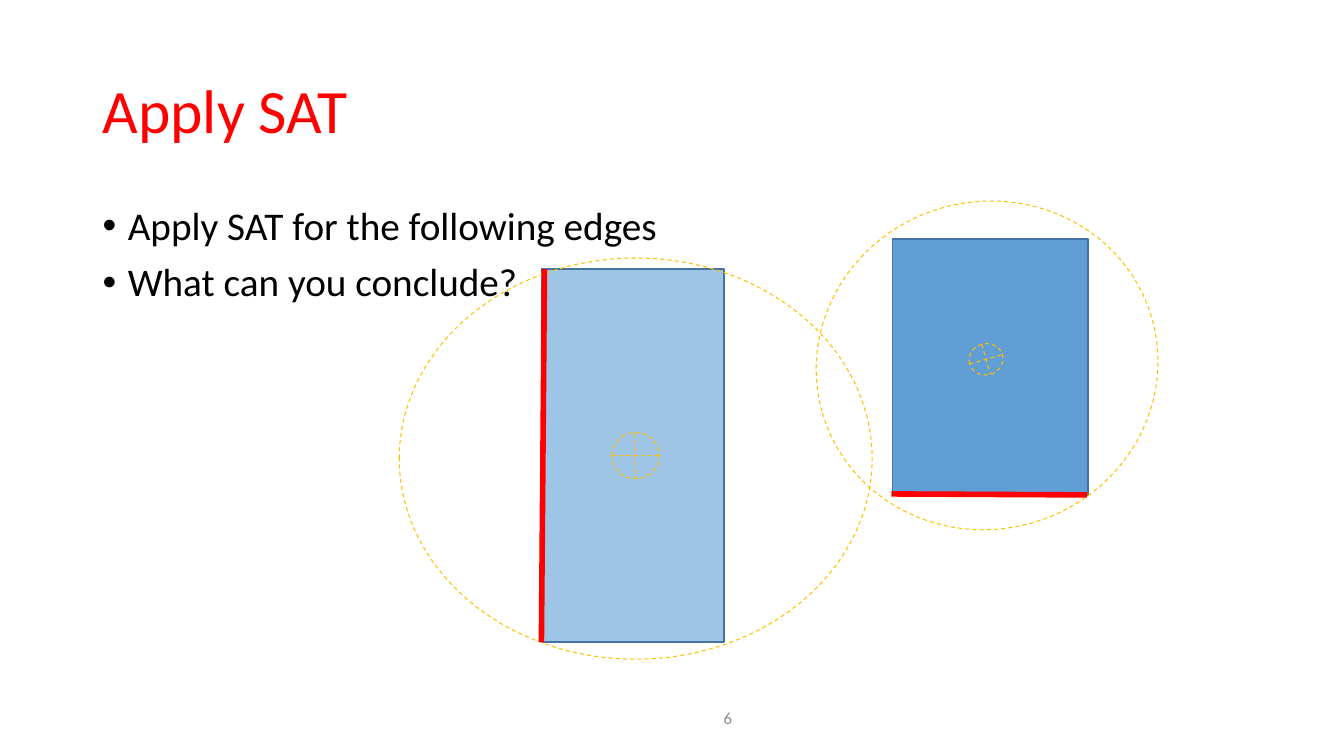
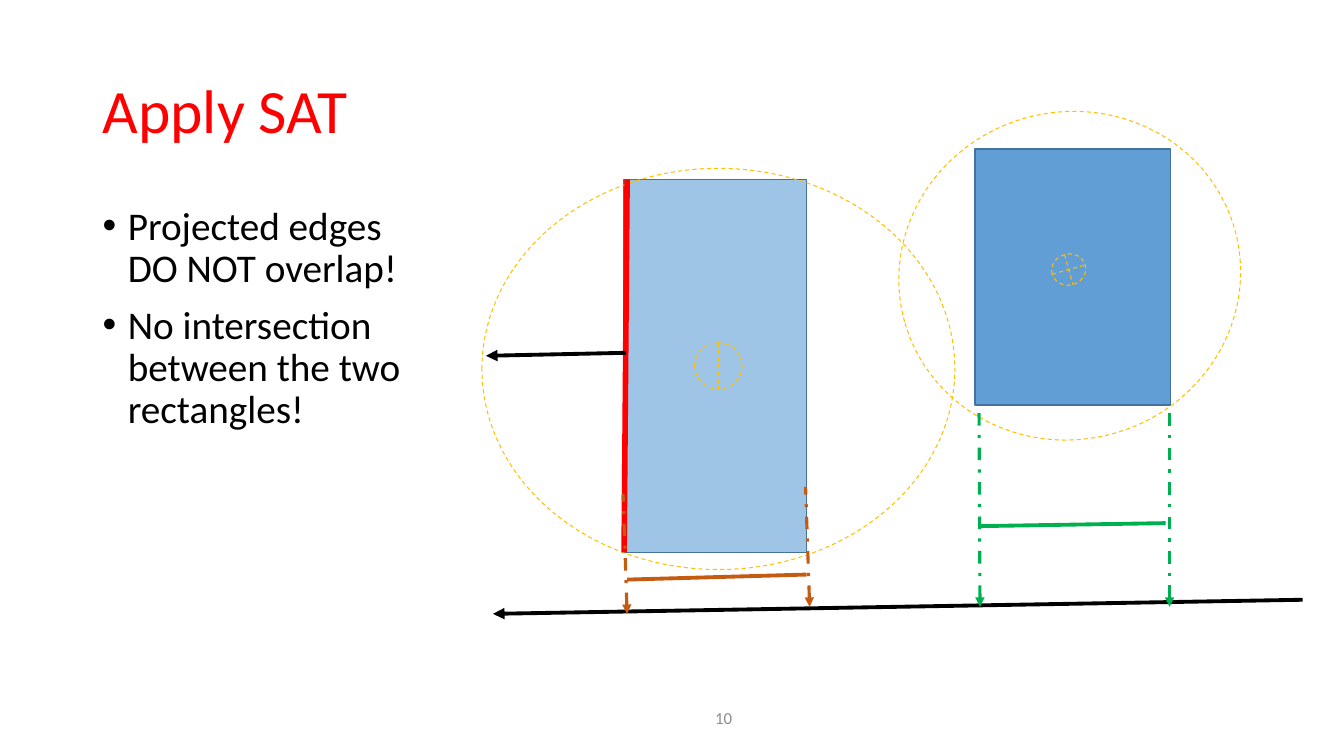
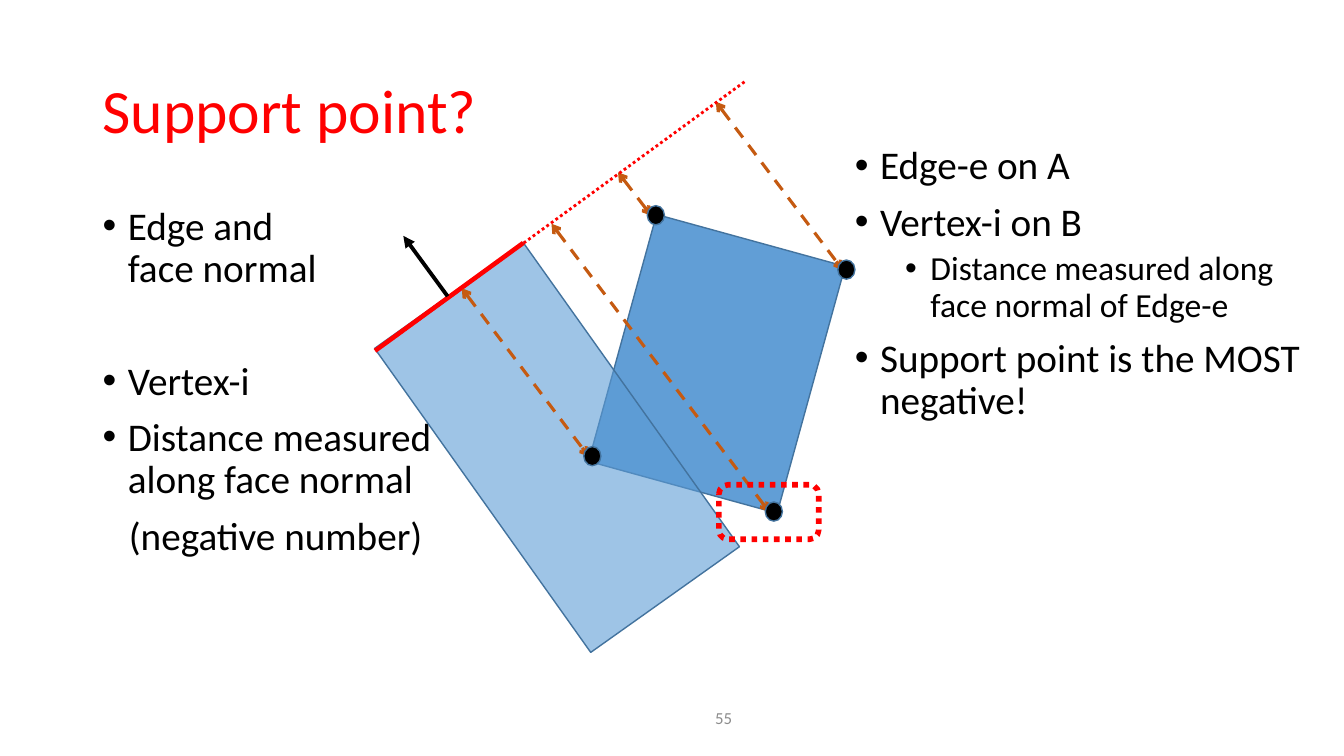
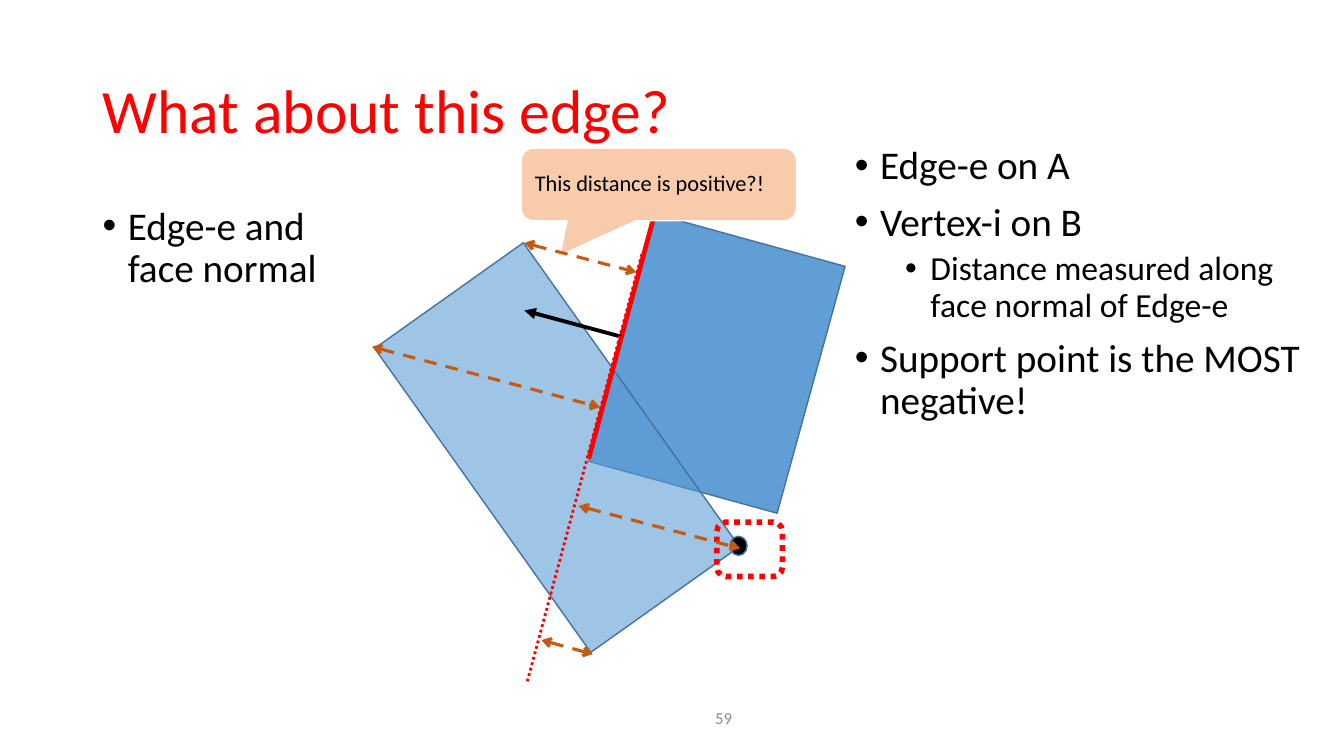
"""Builds four slides on the separating axis test and support points."""
from lxml.etree import SubElement
from pptx import Presentation
from pptx.dml.color import RGBColor
from pptx.enum.dml import MSO_LINE as DASH
from pptx.enum.shapes import MSO_CONNECTOR, MSO_SHAPE as SHAPE
from pptx.enum.text import MSO_ANCHOR as ANCHOR, PP_ALIGN as ALIGN
from pptx.oxml.ns import qn
from pptx.util import Inches, Pt

FONT = "Calibri"
BLACK, GREY, RED, WHITE = "000000", "8C8C8C", "FF0000", "FFFFFF"
BLUE, NAVY, GOLD = "5B9BD5", "43739E", "FFC000"
ORANGE, GREEN, PEACH = "C55A11", "00B050", "F8CBAD"
rgb = RGBColor.from_string


def add_figure(slide, preset, box, outline, width, fill=None, dash=None, opacity=100, turn=0):
    """Add an outlined preset shape, optionally filled and rotated."""
    figure = slide.shapes.add_shape(preset, *map(Inches, box))
    figure.shadow.inherit = False
    figure.rotation = turn
    figure.line.color.rgb = rgb(outline)
    figure.line.width = Pt(width)
    figure.line.dash_style = dash
    if fill:
        figure.fill.solid()
        figure.fill.fore_color.rgb = rgb(fill)
        if opacity < 100:
            tint = figure.fill._xPr.find(".//" + qn("a:srgbClr"))
            SubElement(tint, qn("a:alpha"), val=str(opacity * 1000))
    else:
        figure.fill.background()
    return figure


def add_line(slide, start, end, colour, width, dash=None, head=None, tail=None):
    """Add a straight line with optional arrowheads at its start and end."""
    line = slide.shapes.add_connector(MSO_CONNECTOR.STRAIGHT, *map(Inches, start + end))
    line.line.color.rgb = rgb(colour)
    line.line.width = Pt(width)
    line.line.dash_style = dash
    for tag, arrow in (("a:headEnd", head), ("a:tailEnd", tail)):
        if arrow:
            SubElement(line.line._ln, qn(tag), type=arrow)
    SubElement(line._element.spPr, qn("a:effectLst"))
    return line


support_rule = [
    ("Edge-e on A", 0.25, 28, 0, True),
    ("Vertex-i on B", 0.25, 28, 10, True),
    ("Distance measured along face normal of Edge-e", 0.75, 24, 5, True),
    ("Support point is the MOST negative!", 0.25, 28, 10, True),
]
contents = [
    ("6", "Apply SAT", [
        ("Apply SAT for the following edges", 0.25, 28, 0, True),
        ("What can you conclude?", 0.25, 28, 10, True),
    ], []),
    ("10", "Apply SAT", [
        ("Projected edges\nDO NOT overlap!", 0.25, 28, 0, True),
        ("No intersection\nbetween the two\nrectangles!", 0.25, 28, 10, True),
    ], []),
    ("55", "Support point?", [
        ("Edge and\nface normal", 0.25, 28, 0, True),
        ("Vertex-i", 0.25, 28, 50, True),
        ("Distance measured\nalong face normal", 0.25, 28, 10, True),
        ("(negative number)", 0.26, 28, 10, False),
    ], support_rule),
    ("59", "What about this edge?", [
        ("Edge-e and\nface normal", 0.25, 28, 0, True),
    ], support_rule),
]

deck = Presentation()
deck.slide_width, deck.slide_height = Inches(13.33), Inches(7.5)
slides = []
for number, title, points, rule in contents:
    slide = deck.slides.add_slide(deck.slide_layouts[6])
    slides.append(slide)
    texts = [
        ((6.17, 6.93, 1.19, 0.4), ANCHOR.MIDDLE, ALIGN.RIGHT, GREY, [(number, 0, 12, 0, False)]),
        ((0.92, 0.4, 11.5, 1.45), ANCHOR.MIDDLE, ALIGN.LEFT, RED, [(title, 0, 44, 0, False)]),
        ((0.92, 2, 11.5, 4.76), ANCHOR.TOP, ALIGN.LEFT, BLACK, points),
    ]
    if rule:
        texts.append(((8.38, 1.4, 4.95, 3.44), ANCHOR.TOP, ALIGN.LEFT, BLACK, rule))
    for box, anchor, align, colour, paragraphs in texts:
        frame = slide.shapes.add_textbox(*map(Inches, box)).text_frame
        frame.word_wrap = True
        frame.vertical_anchor = anchor
        for index, (text, indent, size, before, bulleted) in enumerate(paragraphs):
            paragraph = frame.paragraphs[0] if index == 0 else frame.add_paragraph()
            settings = paragraph._p.get_or_add_pPr()
            settings.set("marL", str(Inches(indent)))
            if bulleted:
                settings.set("indent", str(Inches(-0.25)))
                SubElement(settings, qn("a:buFont"), typeface="Arial")
                SubElement(settings, qn("a:buChar"), char="•")
            paragraph.alignment = align
            paragraph.line_spacing = 0.9
            paragraph.space_before = Pt(before)
            for row, words in enumerate(text.split("\n")):
                if row:
                    paragraph.add_line_break()
                run = paragraph.add_run()
                run.text = words
                run.font.name, run.font.size = FONT, Pt(size)
                run.font.color.rgb = rgb(colour)

edges_slide, projection_slide, support_slide, question_slide = slides

for slide, dx, dy in ((edges_slide, 0, 0), (projection_slide, 0.82, -0.89)):
    for preset, (x, y, w, h), turn, opacity in (
        (SHAPE.RECTANGLE, (8.85, 2.37, 1.94, 2.54), 0, 96),
        (SHAPE.OVAL, (8.09, 2, 3.4, 3.25), 344.4, 0),
        (SHAPE.FLOWCHART_OR, (9.61, 3.41, 0.34, 0.31), 344.4, 0),
        (SHAPE.RECTANGLE, (5.37, 2.67, 1.81, 3.7), 0, 59),
        (SHAPE.OVAL, (3.96, 2.56, 4.69, 3.98), 0, 0),
        (SHAPE.FLOWCHART_OR, (6.07, 4.29, 0.47, 0.46), 0, 0),
    ):
        box = (x + dx, y + dy, w, h)
        if opacity:
            add_figure(slide, preset, box, NAVY, 1, BLUE, opacity=opacity)
        else:
            add_figure(slide, preset, box, GOLD, 0.75, dash=DASH.DASH, turn=turn)
    add_line(slide, (5.37 + dx, 6.37 + dy), (5.4 + dx, 2.67 + dy), RED, 4)

add_line(edges_slide, (8.84, 4.9), (10.78, 4.91), RED, 4)

add_line(projection_slide, (6.21, 3.5), (4.82, 3.53), BLACK, 2.75, tail="triangle")
add_line(projection_slide, (6.22, 5.75), (8, 5.7), ORANGE, 2.75)
add_line(projection_slide, (9.71, 5.22), (11.56, 5.19), GREEN, 2.75)
add_line(projection_slide, (12.92, 5.95), (4.89, 6.09), BLACK, 2.75, tail="triangle")
for foot, corner, colour in (
    ((9.72, 6.02), (9.71, 4.01), GREEN),
    ((11.6, 6.02), (11.6, 4.01), GREEN),
    ((6.22, 6.09), (6.18, 4.9), ORANGE),
    ((8.03, 6.02), (7.99, 4.83), ORANGE),
):
    add_line(projection_slide, foot, corner, colour, 2.25, DASH.DASH_DOT, head="triangle")

for slide, edge, normal, side in (
    (support_slide, ((3.72, 3.48), (5.19, 2.41)), ((4.44, 2.94), (4, 2.34)), 0),
    (question_slide, ((5.84, 4.55), (6.49, 2.13)), ((6.16, 3.34), (5.2, 3.08)), 1),
):
    body_b = add_figure(slide, SHAPE.RECTANGLE, (6.14, 2.34, 1.94, 2.54), NAVY, 1, BLUE,
                        opacity=96, turn=15.4)
    body_a = add_figure(slide, SHAPE.RECTANGLE, (4.62, 2.59, 1.81, 3.7), NAVY, 1, BLUE,
                        opacity=59, turn=324.6)
    add_line(slide, *edge, RED, 3.25)
    face_normal = add_line(slide, *normal, BLACK, 2.75, tail="triangle")
    face_normal.begin_connect(body_b if side else body_a, side)
    face_normal.begin_x, face_normal.begin_y = map(Inches, normal[0])

for start, end, vertex in (
    ((4.58, 2.86), (5.84, 4.53), (5.79, 4.43)),
    ((5.47, 2.22), (7.63, 5.08), (7.59, 4.98)),
    ((7.1, 1.01), (8.36, 2.68), (8.31, 2.58)),
    ((6.13, 1.71), (6.46, 2.14), (6.42, 2.04)),
):
    add_line(support_slide, start, end, ORANGE, 2.25, DASH.DASH, "arrow", "arrow")
    add_figure(support_slide, SHAPE.OVAL, vertex + (0.17, 0.19), NAVY, 1, BLACK)
add_line(support_slide, (3.84, 3.4), (7.4, 0.8), RED, 2, DASH.ROUND_DOT)
add_figure(support_slide, SHAPE.ROUNDED_RECTANGLE, (7.13, 4.81, 0.99, 0.54), RED, 4,
           dash=DASH.ROUND_DOT)

add_figure(question_slide, SHAPE.OVAL, (7.24, 5.32, 0.17, 0.19), NAVY, 1, BLACK)
add_figure(question_slide, SHAPE.ROUNDED_RECTANGLE, (7.11, 5.18, 0.65, 0.54), RED, 4,
           dash=DASH.ROUND_DOT)
remark = add_figure(question_slide, SHAPE.ROUNDED_RECTANGULAR_CALLOUT, (5.17, 1.47, 2.73, 0.72),
                    WHITE, 1, PEACH)
for index, value in enumerate((-0.36, 0.98, 0.17)):
    remark.adjustments[index] = value
remark.text_frame.word_wrap = True
remark.text_frame.vertical_anchor = ANCHOR.MIDDLE
remark_line = remark.text_frame.paragraphs[0]
remark_line.alignment = ALIGN.LEFT
remark_line.line_spacing = 0.9
remark_run = remark_line.add_run()
remark_run.text = "This distance is positive?!"
remark_run.font.name, remark_run.font.size = FONT, Pt(16)
remark_run.font.color.rgb = rgb(BLACK)
add_line(question_slide, (5.23, 6.76), (6.37, 2.51), RED, 2, DASH.ROUND_DOT)
for start, end in (
    ((3.69, 3.44), (5.95, 4.04)),
    ((5.2, 2.41), (6.31, 2.7)),
    ((5.37, 6.35), (5.88, 6.49)),
    ((5.74, 5.02), (7.34, 5.44)),
):
    add_line(question_slide, start, end, ORANGE, 2.25, DASH.DASH, "arrow", "arrow")

deck.save("out.pptx")
